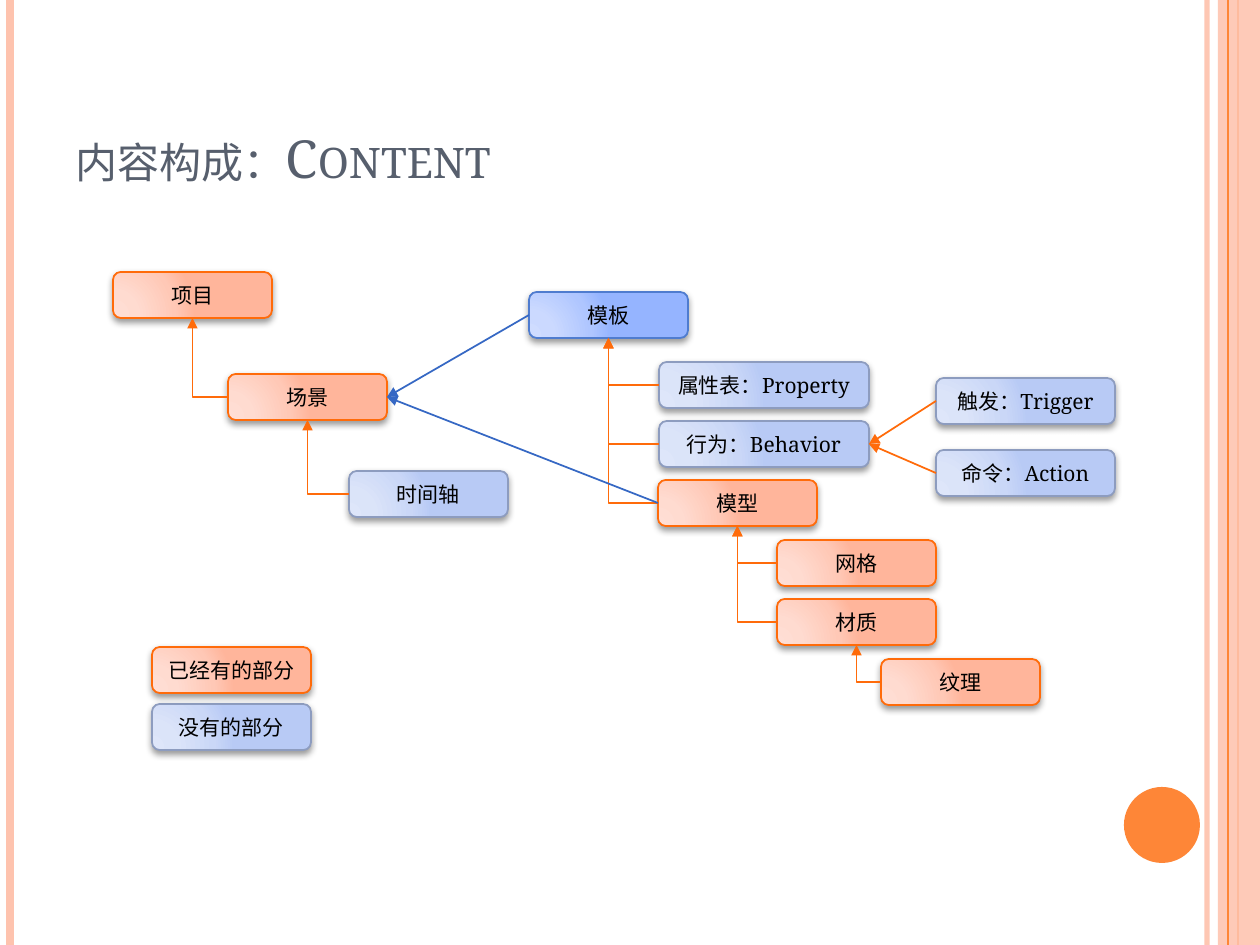
from lxml import etree
from pptx import Presentation
from pptx.dml.color import RGBColor
from pptx.enum.shapes import MSO_CONNECTOR, MSO_SHAPE
from pptx.enum.text import MSO_ANCHOR, MSO_AUTO_SIZE, PP_ALIGN
from pptx.oxml import parse_xml
from pptx.oxml.ns import nsdecls, qn
from pptx.util import Pt

STRAIGHT, ELBOW = MSO_CONNECTOR.STRAIGHT, MSO_CONNECTOR.ELBOW
RECTANGLE, OVAL, ROUNDED = MSO_SHAPE.RECTANGLE, MSO_SHAPE.OVAL, MSO_SHAPE.ROUNDED_RECTANGLE
LEFT, CENTER = PP_ALIGN.LEFT, PP_ALIGN.CENTER
MIDDLE, BOTTOM = MSO_ANCHOR.MIDDLE, MSO_ANCHOR.BOTTOM
NO_AUTOFIT = MSO_AUTO_SIZE.NONE
SITE_LEFT, SITE_BOTTOM, SITE_RIGHT = 1, 2, 3

# Content: name -> (text, kind, left, top, width), in pixels
TITLE = "内容构成：Content"
NODE_WIDTH, NODE_HEIGHT = 159, 46
NODES = {
    "model": ("模型", "existing", 658, 480, NODE_WIDTH),
    "mesh": ("网格", "existing", 777, 540, NODE_WIDTH),
    "material": ("材质", "existing", 777, 599, NODE_WIDTH),
    "texture": ("纹理", "existing", 881, 659, NODE_WIDTH),
    "template": ("模板", "template", 529, 292, NODE_WIDTH),
    "behavior": ("行为：Behavior", "missing", 659, 421, 210),
    "property": ("属性表：Property", "missing", 659, 362, 210),
    "scene": ("场景", "existing", 228, 374, NODE_WIDTH),
    "timeline": ("时间轴", "missing", 349, 471, NODE_WIDTH),
    "project": ("项目", "existing", 113, 272, NODE_WIDTH),
    "legend_missing": ("没有的部分", "missing", 152, 704, NODE_WIDTH),
    "legend_existing": ("已经有的部分", "existing", 152, 647, NODE_WIDTH),
    "trigger": ("触发：Trigger", "missing", 936, 378, 179),
    "action": ("命令：Action", "missing", 936, 450, 179),
}
TREE = {
    "project": ["scene"],
    "scene": ["timeline"],
    "template": ["property", "behavior", "model"],
    "model": ["mesh", "material"],
    "material": ["texture"],
}
LINKS = [
    ("template", "scene", "link"),
    ("model", "scene", "link"),
    ("trigger", "behavior", "branch"),
    ("action", "behavior", "branch"),
]

THEME = {
    "font": "Noto Serif", "title_size": 30, "node_size": 12,
    "title": "575F6D", "text": "000000", "pale": "FEC3AE", "accent": "FE8637",
    "branch": "FF6B0A", "link": "3668C4",
    "existing": ("FF6B0A", ("FFDED5", "FFDBD0", "FFC8B6", "FFB59B")),
    "template": ("4F7CCF", ("CFDCFF", "CBD9FF", "AFC6FF", "95B4FF")),
    "missing": ("8D9CBF", ("DEE6FA", "DBE4F9", "CAD7F7", "B8CAF5")),
}
STOPS = (0, 30, 75, 100)

# Side rules: x, colour, points, opacity percent
BACK_RULES = [(1207, "pale", 3, 93), (10, "pale", 4.5, 100), (1238, "accent", 1.5, 100)]
FRONT_RULES = [(1228, "accent", 0.75, 100)]
SLIDE_WIDTH, SLIDE_HEIGHT = 1260, 945
EMU_PER_PIXEL = 914400 / 126


def px(*lengths):
    return [round(length * EMU_PER_PIXEL) for length in lengths]


def apply(target, values):
    for name, value in values.items():
        setattr(target, name, value)


def set_opacity(properties, percent):
    if percent < 100:
        color = next(properties.iter(qn("a:srgbClr")))
        etree.SubElement(color, qn("a:alpha"), val=str(percent * 1000))


def write(shape, text, size, color, alignment, anchor):
    frame = shape.text_frame
    apply(frame, {"auto_size": NO_AUTOFIT, "word_wrap": True, "vertical_anchor": anchor})
    paragraph = frame.paragraphs[0]
    paragraph.alignment = alignment
    run = paragraph.add_run()
    run.text = text
    apply(run.font, {"name": THEME["font"], "size": Pt(size)})
    run.font.color.rgb = RGBColor.from_string(color)
    return run


def add_line(kind, ends, color, points):
    connector = slide.shapes.add_connector(kind, *px(*ends))
    connector.line.color.rgb = RGBColor.from_string(THEME[color])
    connector.line.width = Pt(points)
    etree.SubElement(connector.element.spPr, qn("a:effectLst"))
    return connector


def add_rules(rules):
    for x, color, points, opacity in rules:
        rule = add_line(STRAIGHT, (x, 0, x, SLIDE_HEIGHT), color, points)
        set_opacity(rule.element.spPr, opacity)


def add_plain(kind, box, color, opacity=100):
    shape = slide.shapes.add_shape(kind, *px(*box))
    shape.shadow.inherit = False
    shape.fill.solid()
    shape.fill.fore_color.rgb = RGBColor.from_string(THEME[color])
    shape.line.fill.background()
    set_opacity(shape.element.spPr, opacity)


def add_node(text, kind, left, top, width):
    outline, colors = THEME[kind]
    shape = slide.shapes.add_shape(ROUNDED, *px(left, top, width, NODE_HEIGHT))
    shape.shadow.inherit = False
    shape.line.color.rgb = RGBColor.from_string(outline)
    shape.line.width = Pt(1)
    properties = shape.element.spPr
    stops = "".join(
        f'<a:gs pos="{stop * 1000}"><a:srgbClr val="{color}"/></a:gs>'
        for stop, color in zip(STOPS, colors))
    properties.find(qn("a:prstGeom")).addnext(parse_xml(
        f'<a:gradFill {nsdecls("a")} rotWithShape="1"><a:gsLst>{stops}</a:gsLst>'
        '<a:path path="circle"><a:fillToRect l="5000" t="100000" r="120000" b="10000"/>'
        '</a:path></a:gradFill>'))
    properties.find(qn("a:effectLst")).append(parse_xml(
        f'<a:outerShdw {nsdecls("a")} blurRad="{Pt(4)}" dist="{Pt(2)}" dir="5400000" '
        'rotWithShape="0"><a:srgbClr val="000000"><a:alpha val="40000"/></a:srgbClr>'
        '</a:outerShdw>'))
    write(shape, text, THEME["node_size"], THEME["text"], CENTER, MIDDLE)
    return shape


def add_arrow(kind, source, target, target_site, color):
    _, _, source_left, source_top, _ = NODES[source]
    _, _, left, top, width = NODES[target]
    half = NODE_HEIGHT / 2
    end = {SITE_BOTTOM: (left + width / 2, top + NODE_HEIGHT),
           SITE_RIGHT: (left + width, top + half)}[target_site]
    arrow = add_line(kind, (source_left, source_top + half, *end), color, 1)
    arrow.begin_connect(shapes[source], SITE_LEFT)
    arrow.end_connect(shapes[target], target_site)
    properties = arrow.element.spPr
    etree.SubElement(properties.find(qn("a:ln")), qn("a:tailEnd"), type="triangle")
    if kind == ELBOW:
        properties.find(qn("a:prstGeom")).set("prst", "bentConnector2")


presentation = Presentation()
presentation.slide_width, presentation.slide_height = px(SLIDE_WIDTH, SLIDE_HEIGHT)
slide = presentation.slides.add_slide(presentation.slide_layouts.get_by_name("Title Only"))

# Side decoration
add_rules(BACK_RULES)
add_plain(RECTANGLE, (1218, 0, 42, SLIDE_HEIGHT), "pale", 87)
add_rules(FRONT_RULES)
add_plain(OVAL, (1124, 787, 76, 76), "accent")

# Title
title = slide.shapes.title
apply(title, dict(zip(("left", "top", "width", "height"), px(63, 38, 1029, 157))))
title_run = write(title, TITLE, THEME["title_size"], THEME["title"], LEFT, BOTTOM)
title_run.font._element.set("cap", "small")

# Diagram
shapes = {name: add_node(*node) for name, node in NODES.items()}
for parent, children in TREE.items():
    for child in children:
        add_arrow(ELBOW, child, parent, SITE_BOTTOM, "branch")
for source, target, color in LINKS:
    add_arrow(STRAIGHT, source, target, SITE_RIGHT, color)

presentation.save("out.pptx")
